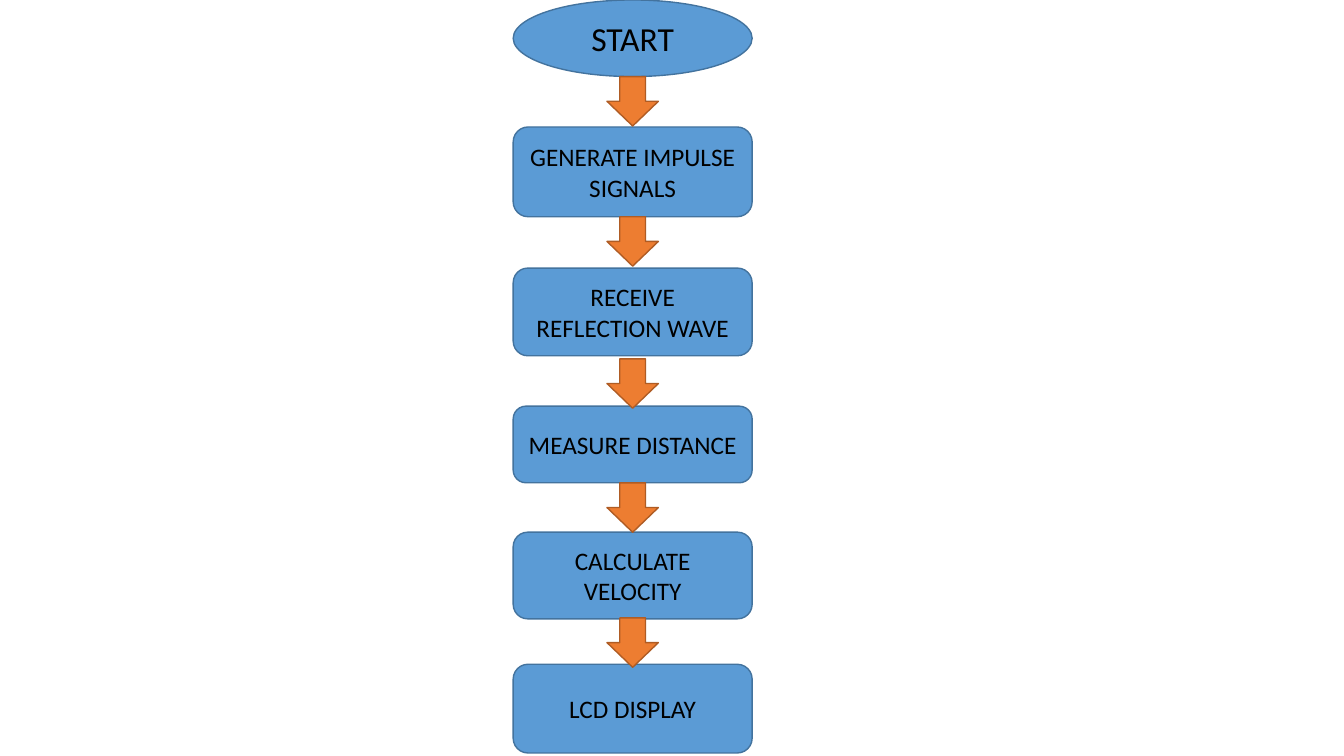
from pptx import Presentation
from pptx import util as u
from pptx.dml import color
from pptx.enum import shapes, text

COLORS = {
    "step": "5B9BD5",
    "step_line": "43739E",
    "arrow": "ED7D31",
    "arrow_line": "AF5C24",
    "text": "000000",
}
FONT = "Calibri"
STEP_LEFT, STEP_WIDTH = 5.09, 2.37
ARROW_WIDTH, ARROW_HEIGHT = 0.51, 0.49
ARROW_LEFT = STEP_LEFT + (STEP_WIDTH - ARROW_WIDTH) / 2

STEPS = [
    ("START", 0, 0.76),
    ("GENERATE IMPULSE SIGNALS", 1.26, 0.89),
    ("RECEIVE REFLECTION WAVE", 2.66, 0.87),
    ("MEASURE DISTANCE", 4.03, 0.76),
    ("CALCULATE VELOCITY", 5.28, 0.86),
    ("LCD DISPLAY", 6.59, 0.88),
]
ARROW_TOPS = [0.76, 2.15, 3.56, 4.79, 6.13]


def rgb(name):
    return color.RGBColor.from_string(COLORS[name])


def write_text(box, words, size=18, font=FONT, ink="text"):
    frame = box.text_frame
    frame.word_wrap = True
    frame.vertical_anchor = text.MSO_ANCHOR.MIDDLE
    para = frame.paragraphs[0]
    para.alignment = text.PP_ALIGN.CENTER
    span = para.add_run()
    span.text = words
    span.font.size = u.Pt(size)
    span.font.name = font
    span.font.color.rgb = rgb(ink)


class Flowchart:
    def __init__(self, page):
        self.page = page

    def shape(self, kind, left, top, width, height, style):
        box = self.page.shapes.add_shape(
            kind, u.Inches(left), u.Inches(top), u.Inches(width), u.Inches(height)
        )
        box.shadow.inherit = False
        box.fill.solid()
        box.fill.fore_color.rgb = rgb(style)
        box.line.color.rgb = rgb(style + "_line")
        box.line.width = u.Pt(1)
        return box

    def step(self, words, top, height, kind=shapes.MSO_SHAPE.ROUNDED_RECTANGLE, size=18):
        box = self.shape(kind, STEP_LEFT, top, STEP_WIDTH, height, "step")
        write_text(box, words, size=size)

    def arrow(self, top):
        self.shape(
            shapes.MSO_SHAPE.DOWN_ARROW, ARROW_LEFT, top, ARROW_WIDTH, ARROW_HEIGHT, "arrow"
        )


deck = Presentation()
deck.slide_width = u.Inches(13.33)
deck.slide_height = u.Inches(7.5)
page = deck.slides.add_slide(deck.slide_layouts[6])
chart = Flowchart(page)

start, *actions = STEPS
chart.step(*start, kind=shapes.MSO_SHAPE.OVAL, size=24)
for action in actions:
    chart.step(*action)
for top in ARROW_TOPS:
    chart.arrow(top)

deck.save("out.pptx")
